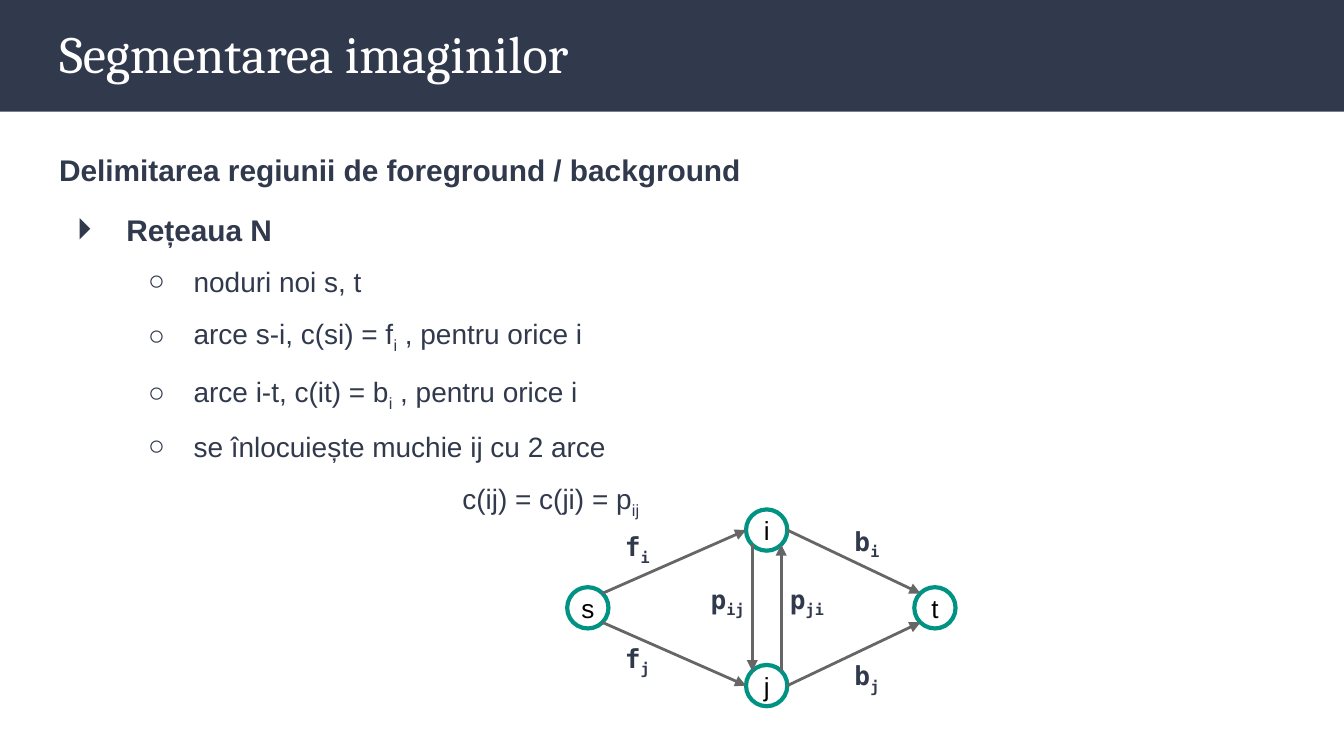
from lxml import etree
from pptx import Presentation
from pptx.dml.color import RGBColor
from pptx.enum.shapes import MSO_CONNECTOR, MSO_SHAPE
from pptx.enum.text import MSO_ANCHOR, MSO_AUTO_SIZE, PP_ALIGN
from pptx.oxml.ns import qn
from pptx.util import Cm, Pt

RECT, OVAL = MSO_SHAPE.RECTANGLE, MSO_SHAPE.OVAL
LINE = MSO_CONNECTOR.STRAIGHT
MIDDLE, FIXED = MSO_ANCHOR.MIDDLE, MSO_AUTO_SIZE.NONE
LEFT, CENTER = PP_ALIGN.LEFT, PP_ALIGN.CENTER

NAVY = RGBColor(0x31, 0x39, 0x4D)
TEAL = RGBColor(0x00, 0x93, 0x84)
GRAY = RGBColor(0x66, 0x66, 0x66)
WHITE = RGBColor(0xFF, 0xFF, 0xFF)
BLACK = RGBColor(0, 0, 0)
SANS, SERIF, MONO = "Arial", "Cambria", "DejaVu Sans Mono"

TITLE = "Segmentarea imaginilor"
STYLES = {
    "head": dict(size=16, bold=True, gap=1.15, before=0, level=0, left=0, hang=0, mark=None),
    "item": dict(size=16, bold=True, gap=1.15, before=10, level=0, left=1.27, hang=0.94, mark="⏵"),
    "sub": dict(size=15, bold=False, gap=1.5, before=0, level=1, left=2.54, hang=0.86, mark="○"),
    "math": dict(size=15, bold=False, gap=1.5, before=0, level=1, left=7.62, hang=0, mark=None),
}
BODY = [
    ("head", "Delimitarea regiunii de foreground / background"),
    ("item", "Rețeaua N"),
    ("sub", "noduri noi s, t"),
    ("sub", "arce s-i, c(si) = f|i| , pentru orice i"),
    ("sub", "arce i-t, c(it) = b|i| , pentru orice i"),
    ("sub", "se înlocuiește muchie ij cu 2 arce"),
    ("math", "c(ij) = c(ji) = p|ij"),
]

MID, RISE, RAD = 11.49, 1.47, 0.39
NODES = {
    "s": (11.11, MID),
    "t": (17.67, MID),
    "i": (14.49, MID - RISE),
    "j": (14.49, MID + RISE),
}
DIAG = 0.7
ARCS = [
    ("s", (DIAG, -DIAG), "i", (-1, 0)),
    ("s", (DIAG, DIAG), "j", (-1, 0)),
    ("i", (1, 0), "t", (-DIAG, -DIAG)),
    ("j", (1, 0), "t", (-DIAG, DIAG)),
    ("i", (-DIAG, DIAG), "j", (-DIAG, -DIAG)),
    ("j", (DIAG, -DIAG), "i", (DIAG, DIAG)),
]
LABELS = [
    ("f|j", 11.56, 11.89, 1.07),
    ("f|i", 11.56, 9.78, 1.07),
    ("b|i", 15.9, 9.68, 1.07),
    ("b|j", 15.9, 12.22, 1.07),
    ("p|ij", 13.18, 10.77, 1.3),
    ("p|ji", 14.68, 10.77, 1.3),
]


def pad(frame, inset):
    frame.margin_left = frame.margin_right = Cm(inset)
    frame.margin_top = frame.margin_bottom = Cm(inset)
    frame.word_wrap = True


def write(para, text, face, size, color, bold=False):
    for k, part in enumerate(text.split("|")):
        run = para.add_run()
        run.text = part
        font = run.font
        font.name, font.size, font.bold = face, Pt(size), bold
        font.color.rgb = color
        if k % 2:
            run._r.get_or_add_rPr().set("baseline", "-25000")


def indent(para, left, hang, mark):
    props = para._p.get_or_add_pPr()
    props.set("marL", str(Cm(left)))
    props.set("indent", str(-Cm(hang)))
    if mark:
        tint = etree.SubElement(props, qn("a:buClr"))
        etree.SubElement(tint, qn("a:srgbClr")).set("val", str(NAVY))
        etree.SubElement(props, qn("a:buFont")).set("typeface", SANS)
        etree.SubElement(props, qn("a:buChar")).set("char", mark)
    else:
        etree.SubElement(props, qn("a:buNone"))


def add_body(shapes):
    frame = shapes.add_textbox(Cm(0.87), Cm(2.52), Cm(23.67), Cm(10.44)).text_frame
    pad(frame, 0.25)
    for k, (kind, text) in enumerate(BODY):
        look = STYLES[kind]
        para = frame.add_paragraph() if k else frame.paragraphs[0]
        para.level = look["level"]
        indent(para, look["left"], look["hang"], look["mark"])
        para.line_spacing = look["gap"]
        para.space_before = Pt(look["before"])
        write(para, text, SANS, look["size"], NAVY, look["bold"])


def add_node(shapes, name, x, y):
    node = shapes.add_shape(OVAL, Cm(x - RAD), Cm(y - RAD), Cm(2 * RAD), Cm(2 * RAD))
    node.shadow.inherit = False
    node.fill.background()
    node.line.color.rgb = TEAL
    node.line.width = Pt(2.25)
    frame = node.text_frame
    pad(frame, 0.05)
    frame.vertical_anchor = MIDDLE
    para = frame.paragraphs[0]
    para.alignment = CENTER
    write(para, name, SANS, 14, BLACK)


def rim(name, side):
    return [Cm(c + RAD * d) for c, d in zip(NODES[name], side)]


def add_arc(shapes, tail, out, head, into):
    arc = shapes.add_connector(LINE, *rim(tail, out), *rim(head, into))
    arc.line.color.rgb = GRAY
    arc.line.width = Pt(1.5)
    etree.SubElement(arc.line._get_or_add_ln(), qn("a:tailEnd")).set("type", "triangle")
    etree.SubElement(arc._element.spPr, qn("a:effectLst"))


def add_label(shapes, text, x, y, width):
    frame = shapes.add_textbox(Cm(x), Cm(y), Cm(width), Cm(1.12)).text_frame
    pad(frame, 0.25)
    write(frame.paragraphs[0], text, MONO, 14, NAVY, True)


def main():
    deck = Presentation()
    deck.slide_width, deck.slide_height = Cm(25.4), Cm(14.29)
    slide = deck.slides.add_slide(deck.slide_layouts[5])
    shapes = slide.shapes

    band = shapes.add_shape(RECT, 0, 0, deck.slide_width, Cm(2.11))
    band.shadow.inherit = False
    band.fill.solid()
    band.fill.fore_color.rgb = NAVY
    band.line.fill.background()

    title = shapes.title
    title.left, title.top, title.width, title.height = Cm(0.87), Cm(0.13), Cm(23.67), Cm(1.73)
    title._element.addprevious(band._element)
    frame = title.text_frame
    pad(frame, 0.25)
    frame.auto_size, frame.vertical_anchor = FIXED, MIDDLE
    frame.paragraphs[0].alignment = LEFT
    write(frame.paragraphs[0], TITLE, SERIF, 28, WHITE)

    add_body(shapes)
    graph = shapes.add_group_shape().shapes
    for name, (x, y) in NODES.items():
        add_node(graph, name, x, y)
    for arc in ARCS:
        add_arc(graph, *arc)
    for label in LABELS:
        add_label(graph, *label)
    deck.save("out.pptx")


if __name__ == "__main__":
    main()
